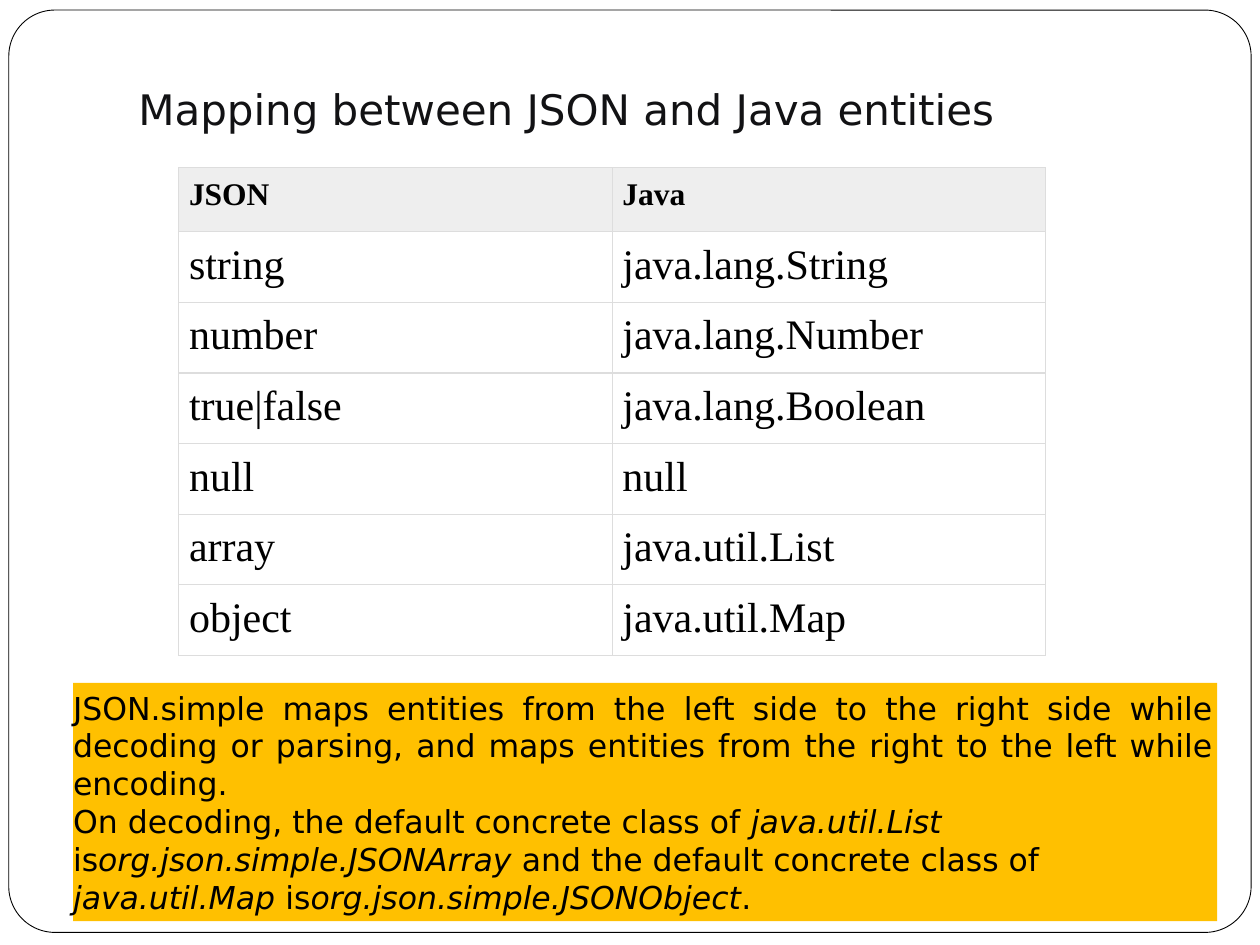
"""Build a slide that maps JSON types to Java types."""
import pptx
import pptx.util
import pptx.dml.color
import pptx.enum.shapes
import pptx.enum.text
from lxml import etree
from pptx.oxml.ns import qn

Inches, Pt = pptx.util.Inches, pptx.util.Pt
RGBColor = pptx.dml.color.RGBColor
Align, Anchor = pptx.enum.text.PP_ALIGN, pptx.enum.text.MSO_ANCHOR
Shape = pptx.enum.shapes.MSO_SHAPE

BLACK = RGBColor(0, 0, 0)
WHITE = RGBColor(255, 255, 255)
INK = RGBColor(0x12, 0x12, 0x14)
AMBER = RGBColor(0xFF, 0xC0, 0x00)
HEADER_GRAY = RGBColor(0xEE, 0xEE, 0xEE)
BORDER_GRAY = RGBColor(0xDD, 0xDD, 0xDD)

TITLE = "Mapping between JSON and Java entities"
MAPPING = [
    ("JSON", "Java"),
    ("string", "java.lang.String"),
    ("number", "java.lang.Number"),
    ("true|false", "java.lang.Boolean"),
    ("null", "null"),
    ("array", "java.util.List"),
    ("object", "java.util.Map"),
]
NOTE = [
    (Align.JUSTIFY, [
        ("JSON.simple maps entities from the left side to the right side while decoding "
         "or parsing, and maps entities from the right to the left while encoding.", False),
    ]),
    (Align.LEFT, [
        ("On decoding, the default concrete class of ", False),
        ("java.util.List ", True),
        ("is", False),
        ("org.json.simple.JSONArray", True),
        (" and the default concrete class of ", False),
        ("java.util.Map ", True),
        ("is", False),
        ("org.json.simple.JSONObject", True),
        (".", False),
    ]),
]
COLUMN_WIDTH, ROW_HEIGHT = 3.44, 0.51
TITLE_FONT = {"name": "DejaVu Sans", "size": Pt(24)}
NOTE_FONT = {"name": "DejaVu Sans", "size": Pt(18)}
HEADER_FONT = {"name": "Times New Roman", "size": Pt(18), "bold": True}
BODY_FONT = {"name": "Times New Roman", "size": Pt(24), "bold": False}


def apply(target, values):
    for name, value in values.items():
        setattr(target, name, value)


def add_span(para, text, font, color=BLACK):
    span = para.add_run()
    span.text = text
    apply(span.font, font)
    span.font.color.rgb = color


def set_frame(frame, anchor, left, top, right, bottom):
    apply(frame, {
        "word_wrap": True, "vertical_anchor": anchor,
        "margin_left": Inches(left), "margin_top": Inches(top),
        "margin_right": Inches(right), "margin_bottom": Inches(bottom),
    })


def add_panel(page, kind, place, fill):
    panel = page.shapes.add_shape(kind, *map(Inches, place))
    panel.shadow.inherit = False
    panel.fill.solid()
    panel.fill.fore_color.rgb = fill
    panel.line.fill.background()
    return panel


def set_borders(cell):
    properties = cell._tc.get_or_add_tcPr()
    for index, side in enumerate(("lnL", "lnR", "lnT", "lnB")):
        line = etree.Element(qn(f"a:{side}"), w=str(Pt(0.75)))
        fill = etree.SubElement(line, qn("a:solidFill"))
        etree.SubElement(fill, qn("a:srgbClr"), val=str(BORDER_GRAY))
        properties.insert(index, line)


def add_frame(page):
    frame = add_panel(page, Shape.ROUNDED_RECTANGLE, (0.07, 0.08, 9.86, 7.32), WHITE)
    frame.adjustments[0] = 0.05
    frame.line.color.rgb = BLACK
    frame.line.width = Pt(0.5)


def add_title(page):
    box = page.shapes.add_textbox(*map(Inches, (1, 0.3, 8.5, 1.25)))
    set_frame(box.text_frame, Anchor.BOTTOM, 0.1, 0.05, 0.1, 0.49)
    add_span(box.text_frame.paragraphs[0], TITLE, TITLE_FONT, INK)


def add_mapping(page):
    rows, columns = len(MAPPING), len(MAPPING[0])
    size = (COLUMN_WIDTH * columns, ROW_HEIGHT * rows)
    table = page.shapes.add_table(rows, columns, *map(Inches, (1.42, 1.33, *size))).table
    for row, entries in enumerate(MAPPING):
        for column, text in enumerate(entries):
            cell = table.cell(row, column)
            apply(cell, dict.fromkeys(
                ("margin_left", "margin_top", "margin_right", "margin_bottom"), Inches(0.08)))
            cell.fill.solid()
            cell.fill.fore_color.rgb = WHITE if row else HEADER_GRAY
            set_borders(cell)
            add_span(cell.text_frame.paragraphs[0], text, BODY_FONT if row else HEADER_FONT)


def add_note(page):
    panel = add_panel(page, Shape.RECTANGLE, (0.58, 5.42, 9.08, 1.89), AMBER)
    frame = panel.text_frame
    set_frame(frame, Anchor.MIDDLE, 0, 0.03, 0.03, 0.03)
    for index, (alignment, spans) in enumerate(NOTE):
        para = frame.add_paragraph() if index else frame.paragraphs[0]
        para.alignment = alignment
        for text, italic in spans:
            add_span(para, text, {**NOTE_FONT, "italic": italic})


def main():
    deck = pptx.Presentation()
    apply(deck, {"slide_width": Inches(10), "slide_height": Inches(7.5)})
    page = deck.slides.add_slide(deck.slide_layouts[6])
    for add_part in (add_frame, add_title, add_mapping, add_note):
        add_part(page)
    deck.save("out.pptx")


if __name__ == "__main__":
    main()
